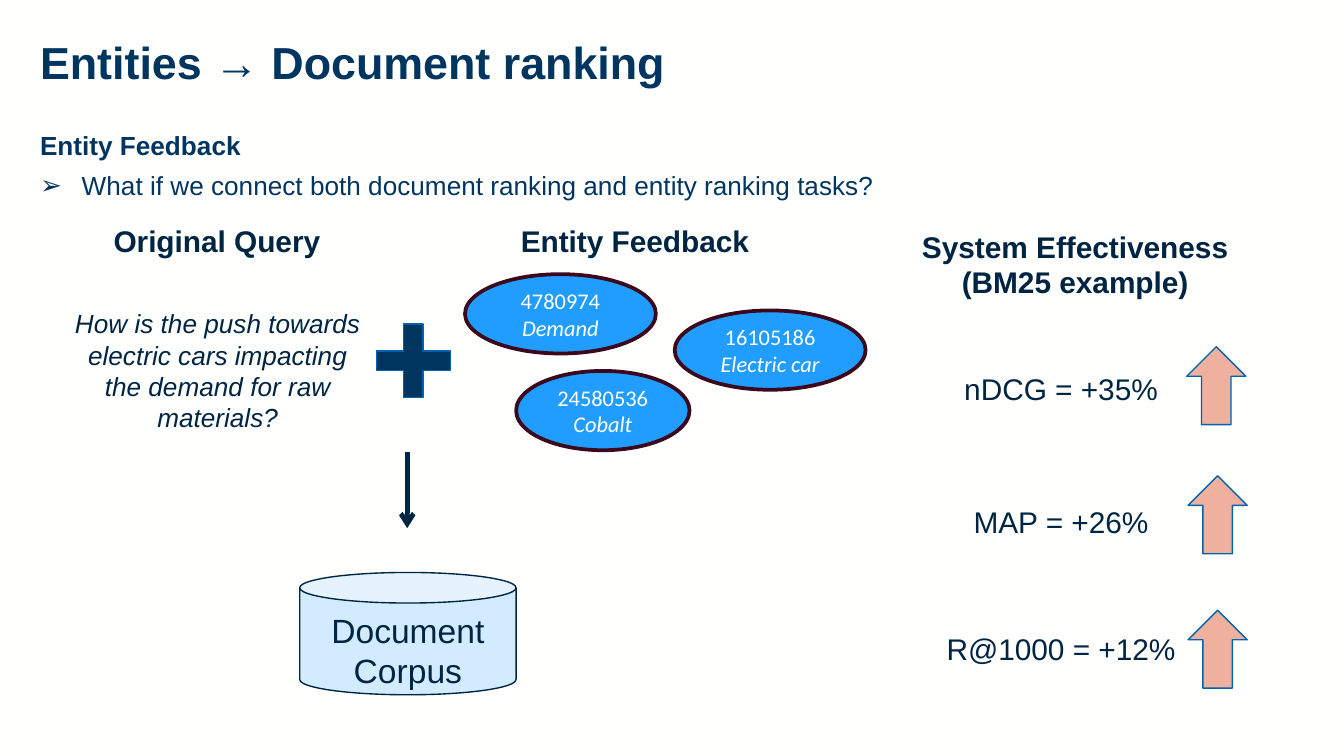
from dataclasses import dataclass

from lxml.etree import SubElement
from pptx import Presentation
from pptx.dml.color import RGBColor
from pptx.enum.shapes import MSO_CONNECTOR as Connector, MSO_SHAPE as Preset
from pptx.enum.text import MSO_ANCHOR as Anchor, PP_ALIGN as Align
from pptx.oxml.ns import qn
from pptx.util import Inches, Pt


@dataclass(frozen=True)
class Theme:
    paper: str = "FFFFFE"
    navy: str = "003560"
    ink: str = "002542"
    outline: str = "0063B1"
    corpus: str = "D3EBFF"
    entity: str = "219DFF"
    entity_edge: str = "3B081E"
    gain: str = "EFB09E"
    font: str = "Arial"
    entity_font: str = "Calibri"
    title: int = 24
    corpus_label: int = 18
    heading: int = 16
    body: int = 14
    entity_label: int = 12


@dataclass(frozen=True)
class Box:
    left: float
    top: float
    width: float
    height: float

    def lengths(self) -> list:
        return [Inches(v) for v in (self.left, self.top, self.width, self.height)]


@dataclass(frozen=True)
class Heading:
    lines: tuple
    box: Box


@dataclass(frozen=True)
class Entity:
    number: str
    name: str
    box: Box


@dataclass(frozen=True)
class Metric:
    result: str
    box: Box
    arrow_left: float
    arrow_top: float


THEME = Theme()

HEADINGS = (
    Heading(("Original Query",), Box(0.71, 1.61, 1.81, 0.37)),
    Heading(("Entity Feedback",), Box(3.74, 1.61, 1.97, 0.37)),
    Heading(("System Effectiveness", "(BM25 example)"), Box(6.73, 1.65, 2.54, 0.64)),
)
ENTITIES = (
    Entity("16105186", "Electric car", Box(5.02, 2.31, 1.42, 0.59)),
    Entity("24580536", "Cobalt", Box(3.84, 2.76, 1.29, 0.59)),
    Entity("4780974", "Demand", Box(3.46, 2.04, 1.42, 0.59)),
)
METRICS = (
    Metric("nDCG = +35%", Box(6.99, 2.71, 1.81, 0.37), 8.83, 2.58),
    Metric("MAP = +26%", Box(6.99, 3.7, 1.81, 0.37), 8.84, 3.54),
    Metric("R@1000 = +12%", Box(6.89, 4.64, 2.01, 0.37), 8.84, 4.54),
)


def rgb(value: str) -> RGBColor:
    return RGBColor.from_string(value)


def write(frame, text: str, *, size: int, color: str = THEME.ink, font: str = THEME.font,
          bold: bool = False, italic: bool = False, align=Align.CENTER,
          after: float = 0, bullet: str = "", indent: float = 0) -> None:
    frame.word_wrap = True
    first = frame.paragraphs[0]
    paragraph = frame.add_paragraph() if first.runs else first
    paragraph.alignment = align
    paragraph.space_after = Pt(after)
    if bullet:
        props = paragraph._p.get_or_add_pPr()
        props.set("marL", str(Inches(indent)))
        props.set("indent", str(-Inches(indent)))
        SubElement(props, qn("a:buFont"), typeface=font)
        SubElement(props, qn("a:buChar"), char=bullet)
    run = paragraph.add_run()
    run.text = text
    run.font.name = font
    run.font.size = Pt(size)
    run.font.bold = bold
    run.font.italic = italic
    run.font.color.rgb = rgb(color)


def add_frame(slide, box: Box):
    return slide.shapes.add_textbox(*box.lengths()).text_frame


def add_preset(slide, preset, box: Box, fill: str, line: str, weight: float = 0.75):
    shape = slide.shapes.add_shape(preset, *box.lengths())
    shape.shadow.inherit = False
    shape.fill.solid()
    shape.fill.fore_color.rgb = rgb(fill)
    shape.line.color.rgb = rgb(line)
    shape.line.width = Pt(weight)
    return shape


def add_flow_arrow(slide, x: float, top: float, bottom: float) -> None:
    arrow = slide.shapes.add_connector(
        Connector.STRAIGHT, Inches(x), Inches(top), Inches(x), Inches(bottom))
    arrow.line.color.rgb = rgb(THEME.ink)
    arrow.line.width = Pt(2.5)
    SubElement(arrow.line._get_or_add_ln(), qn("a:tailEnd"), type="arrow")
    SubElement(arrow._element.spPr, qn("a:effectLst"))


def add_heading(slide, heading: Heading) -> None:
    frame = add_frame(slide, heading.box)
    for line in heading.lines:
        write(frame, line, size=THEME.heading, bold=True)


def add_entity(slide, entity: Entity) -> None:
    ellipse = add_preset(slide, Preset.OVAL, entity.box, THEME.entity, THEME.entity_edge, 2)
    frame = ellipse.text_frame
    frame.vertical_anchor = Anchor.MIDDLE
    for text, italic in ((entity.number, False), (entity.name, True)):
        write(frame, text, size=THEME.entity_label, color=THEME.paper,
              font=THEME.entity_font, italic=italic)


def add_metric(slide, metric: Metric) -> None:
    add_preset(slide, Preset.UP_ARROW, Box(metric.arrow_left, metric.arrow_top, 0.44, 0.58),
               THEME.gain, THEME.outline)
    write(add_frame(slide, metric.box), metric.result, size=THEME.heading)


def main() -> None:
    deck = Presentation()
    deck.slide_width = Inches(10)
    deck.slide_height = deck.slide_width * 9 // 16
    slide = deck.slides.add_slide(deck.slide_layouts[6])
    slide.background.fill.solid()
    slide.background.fill.fore_color.rgb = rgb(THEME.paper)

    write(add_frame(slide, Box(0.2, 0.21, 9.37, 0.5)), "Entities → Document ranking",
          size=THEME.title, color=THEME.navy, bold=True, align=Align.LEFT)
    intro = add_frame(slide, Box(0.2, 0.91, 9.53, 0.95))
    write(intro, "Entity Feedback", size=THEME.body, color=THEME.navy, bold=True,
          align=Align.LEFT, after=5)
    write(intro, "What if we connect both document ranking and entity ranking tasks?",
          size=THEME.body, color=THEME.navy, align=Align.LEFT, after=5,
          bullet="➢", indent=0.31)

    write(add_frame(slide, Box(0.44, 2.24, 2.36, 1.04)),
          "How is the push towards electric cars impacting the demand for raw materials?",
          size=THEME.body, italic=True)
    plus = add_preset(slide, Preset.CROSS, Box(2.8, 2.41, 0.55, 0.55),
                      THEME.navy, THEME.outline)
    plus.adjustments[0] = 0.37
    add_flow_arrow(slide, 3.03, 3.36, 3.93)
    corpus = add_preset(slide, Preset.CAN, Box(2.23, 4.26, 1.61, 0.91),
                        THEME.corpus, THEME.ink)
    corpus.text_frame.vertical_anchor = Anchor.TOP
    write(corpus.text_frame, "Document Corpus", size=THEME.corpus_label)

    for heading in HEADINGS:
        add_heading(slide, heading)
    for entity in ENTITIES:
        add_entity(slide, entity)
    for metric in METRICS:
        add_metric(slide, metric)

    deck.save("out.pptx")


if __name__ == "__main__":
    main()
